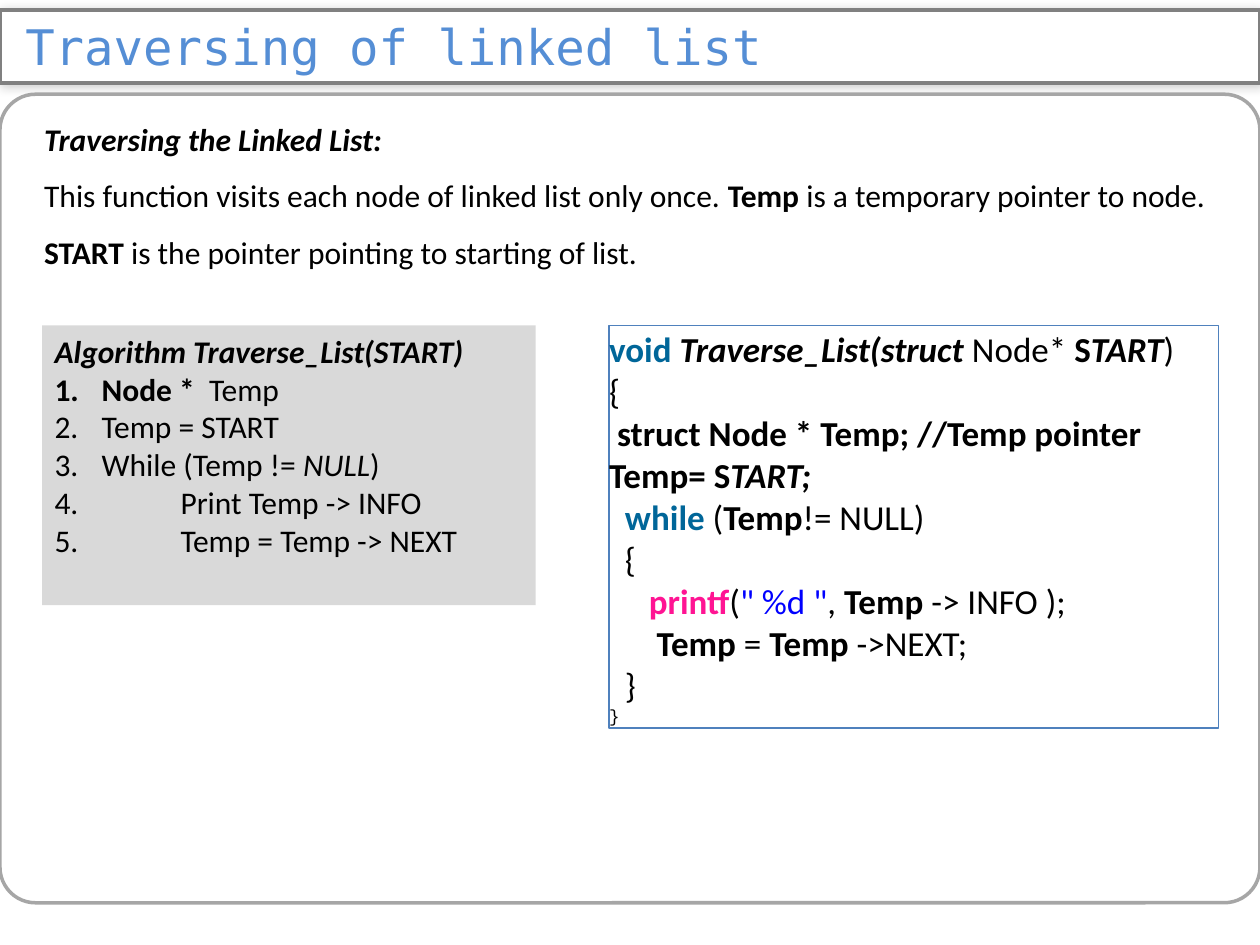
from lxml.etree import SubElement
from pptx import Presentation
from pptx.dml.color import RGBColor
from pptx.enum.shapes import MSO_SHAPE
from pptx.enum.text import MSO_ANCHOR, MSO_AUTO_SIZE, PP_ALIGN
from pptx.oxml import parse_xml
from pptx.oxml.ns import nsdecls, qn
from pptx.util import Cm, Pt

COLORS = {"white": "FFFFFF", "black": "000000", "title": "558ED5",
          "bar": "808080", "panel": "A6A6A6", "gray": "D9D9D9",
          "border": "4F81BD", "keyword": "006699", "call": "FF1493",
          "string": "0000FF"}


def color(name):
    return RGBColor.from_string(COLORS[name])


def style_shape(shape, fill=None, line=None, width=1):
    if fill:
        shape.fill.solid()
        shape.fill.fore_color.rgb = color(fill)
    else:
        shape.fill.background()
    if line:
        shape.line.color.rgb = color(line)
        shape.line.width = Pt(width)
    else:
        shape.line.fill.background()


def add_box(s, kind, box, **style):
    shape = s.shapes.add_shape(kind, *map(Cm, box))
    shape.shadow.inherit = False
    style_shape(shape, **style)
    return shape


def place(shape, box):
    shape.left, shape.top, shape.width, shape.height = map(Cm, box)


def set_frame(tf, anchor, insets=(0.25, 0.13, 0.25, 0.13)):
    tf.word_wrap = True
    tf.auto_size = MSO_AUTO_SIZE.NONE
    tf.vertical_anchor = anchor
    tf.margin_left, tf.margin_top, tf.margin_right, tf.margin_bottom = map(Cm, insets)


def add_paragraph(tf, index, runs, size, font="Calibri", indent=0, hanging=0,
                  number=False, spacing=1.0):
    """Each run is (text, style letters b/i, colour name)."""
    p = tf.paragraphs[0] if index == 0 else tf.add_paragraph()
    p.alignment = PP_ALIGN.LEFT
    p.line_spacing = spacing
    p.space_before = Pt(0)
    pPr = p._p.get_or_add_pPr()
    pPr.set("marL", str(Cm(indent)))
    pPr.set("indent", str(-Cm(hanging)))
    if number:
        SubElement(pPr, qn("a:buFont"), typeface="+mj-lt")
        SubElement(pPr, qn("a:buAutoNum"), type="arabicPeriod")
    else:
        SubElement(pPr, qn("a:buNone"))
    for text, style, name in runs:
        r = p.add_run()
        r.text = text
        r.font.name = font
        r.font.size = Pt(size)
        r.font.bold = "b" in style
        r.font.italic = "i" in style
        r.font.color.rgb = color(name)


def plain(text, style="", name="black"):
    return (text, style, name)


# Title bar
def add_title(s, box):
    title = s.shapes.title
    place(title, box)
    spPr = title._element.spPr
    spPr.find(qn("a:xfrm")).addnext(parse_xml(
        f'<a:prstGeom {nsdecls("a")} prst="roundRect"><a:avLst>'
        '<a:gd name="adj" fmla="val 40900"/></a:avLst></a:prstGeom>'))
    style_shape(title, "white", "bar", 2.5)
    spPr.append(parse_xml(
        f'<a:effectLst {nsdecls("a")}><a:outerShdw blurRad="{Pt(6)}" dist="{Pt(1)}" '
        'dir="2700000" rotWithShape="0"><a:srgbClr val="000000">'
        '<a:alpha val="20000"/></a:srgbClr></a:outerShdw></a:effectLst>'))
    tf = title.text_frame
    set_frame(tf, MSO_ANCHOR.MIDDLE, (0.51, 0, 0.25, 0))
    add_paragraph(tf, 0, [plain("Traversing of linked list", "", "title")],
                  28, "DejaVu Sans Mono")


# Rounded panel with the introduction
def add_intro(s, box):
    left, top, width, height = box
    panel = add_box(s, MSO_SHAPE.ROUNDED_RECTANGLE, box, line="panel", width=2)
    panel.adjustments[0] = 0.044
    body = s.placeholders[1]
    place(body, (left + 0.64, top, width - 1.47, 4.5))
    set_frame(body.text_frame, MSO_ANCHOR.TOP)
    paragraphs = [
        [plain("Traversing the Linked List:", "bi")],
        [plain("This function visits each node of linked list only once. "),
         plain("Temp", "b"), plain(" is a temporary pointer to node. "),
         plain("START", "b"), plain(" is the pointer pointing to starting of list.")]]
    for i, runs in enumerate(paragraphs):
        add_paragraph(body.text_frame, i, runs, 18, spacing=1.5)


# Numbered algorithm
def add_algorithm(s, box):
    shape = add_box(s, MSO_SHAPE.RECTANGLE, box, fill="gray")
    tf = shape.text_frame
    set_frame(tf, MSO_ANCHOR.TOP)
    add_paragraph(tf, 0, [plain("Algorithm Traverse_List(START)", "bi")], 18)
    steps = [
        (0.95, [plain("Node * ", "b"), plain(" Temp")]),
        (0.95, [plain("Temp = START")]),
        (0.95, [plain("While (Temp != "), plain("NULL", "i"), plain(")")]),
        (2.54, [plain("Print Temp -> INFO")]),
        (2.54, [plain("Temp = Temp -> NEXT")])]
    for i, (indent, runs) in enumerate(steps, 1):
        add_paragraph(tf, i, runs, 18, indent=indent, hanging=indent, number=True)


# Code listing, indented in units of one space
def add_code(s, box):
    shape = add_box(s, MSO_SHAPE.RECTANGLE, box, line="border", width=0.75)
    tf = shape.text_frame
    set_frame(tf, MSO_ANCHOR.MIDDLE, (0, 0, 0, 0))
    lines = [
        (0, [plain("void ", "b", "keyword"), plain("Traverse_List(struct ", "bi"),
             plain("Node* "), plain("S", "b"), plain("TART", "bi"), plain(")")]),
        (0, [plain("{")]),
        (1, [plain("struct Node * Temp; //Temp pointer", "b")]),
        (0, [plain("Temp= S", "b"), plain("TART;", "bi")]),
        (2, [plain("while", "b", "keyword"), plain(" ("), plain("Temp", "b"),
             plain("!= NULL)")]),
        (2, [plain("{")]),
        (5, [plain("printf", "b", "call"), plain("("),
             plain('" %d "', "", "string"), plain(", "), plain("Temp ", "b"),
             plain("-> INFO );")]),
        (6, [plain("Temp ", "b"), plain("= "), plain("Temp ", "b"),
             plain("->NEXT;")]),
        (2, [plain("}")])]
    for i, (spaces, runs) in enumerate(lines):
        add_paragraph(tf, i, runs, 20, indent=0.16 * spaces)
    add_paragraph(tf, len(lines), [plain("}")], 10, "Courier New")


prs = Presentation()
prs.slide_width, prs.slide_height = Cm(25.4), Cm(19.05)
s = prs.slides.add_slide(prs.slide_layouts[1])
add_title(s, (0, 0.2, 25.4, 1.47))
add_intro(s, (0, 1.9, 25.4, 16.3))
add_algorithm(s, (0.85, 6.56, 9.95, 5.64))
add_code(s, (12.28, 6.56, 12.28, 8.12))
prs.save("out.pptx")
